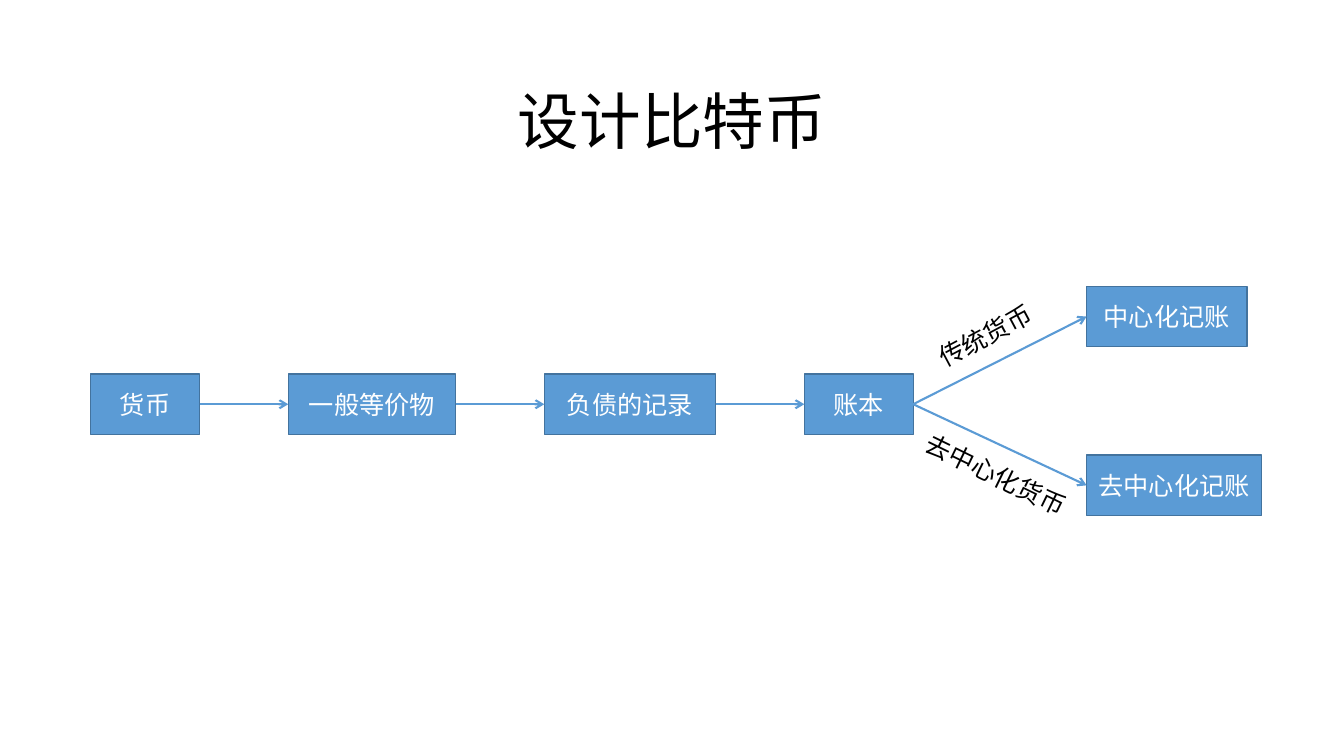
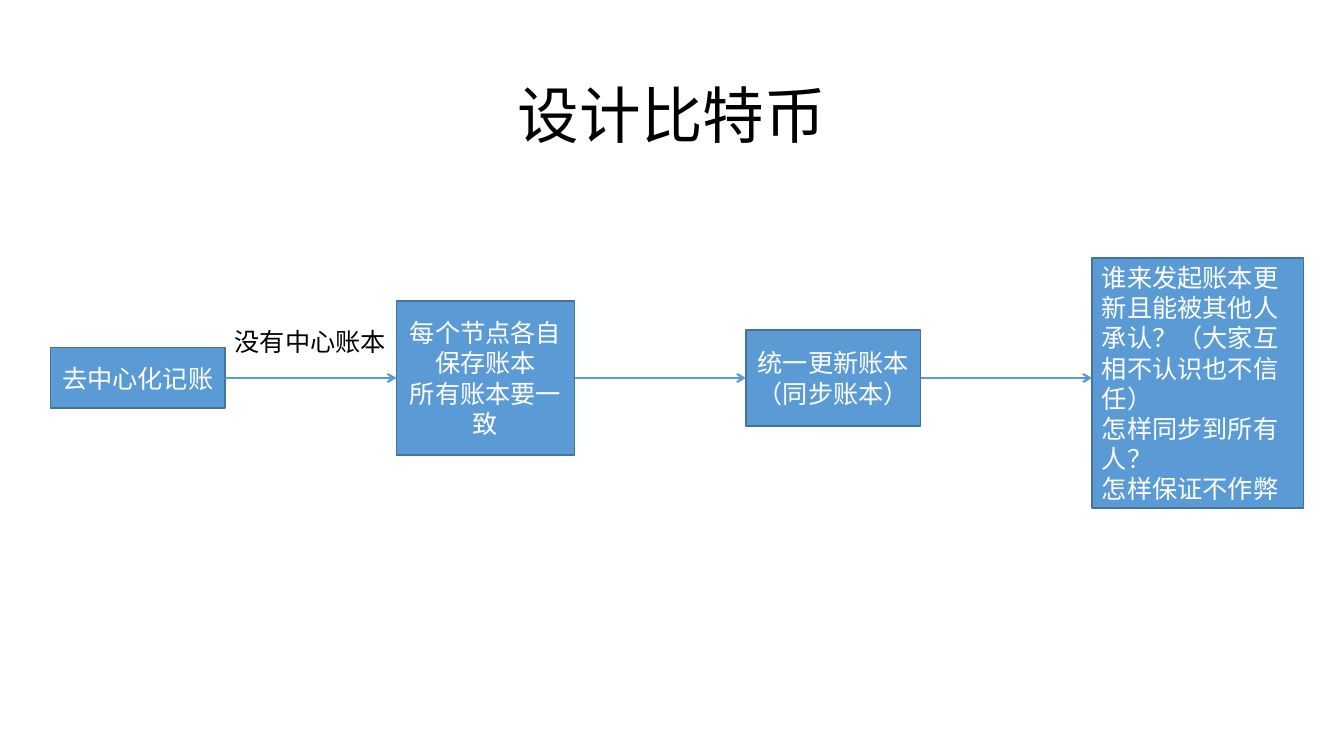
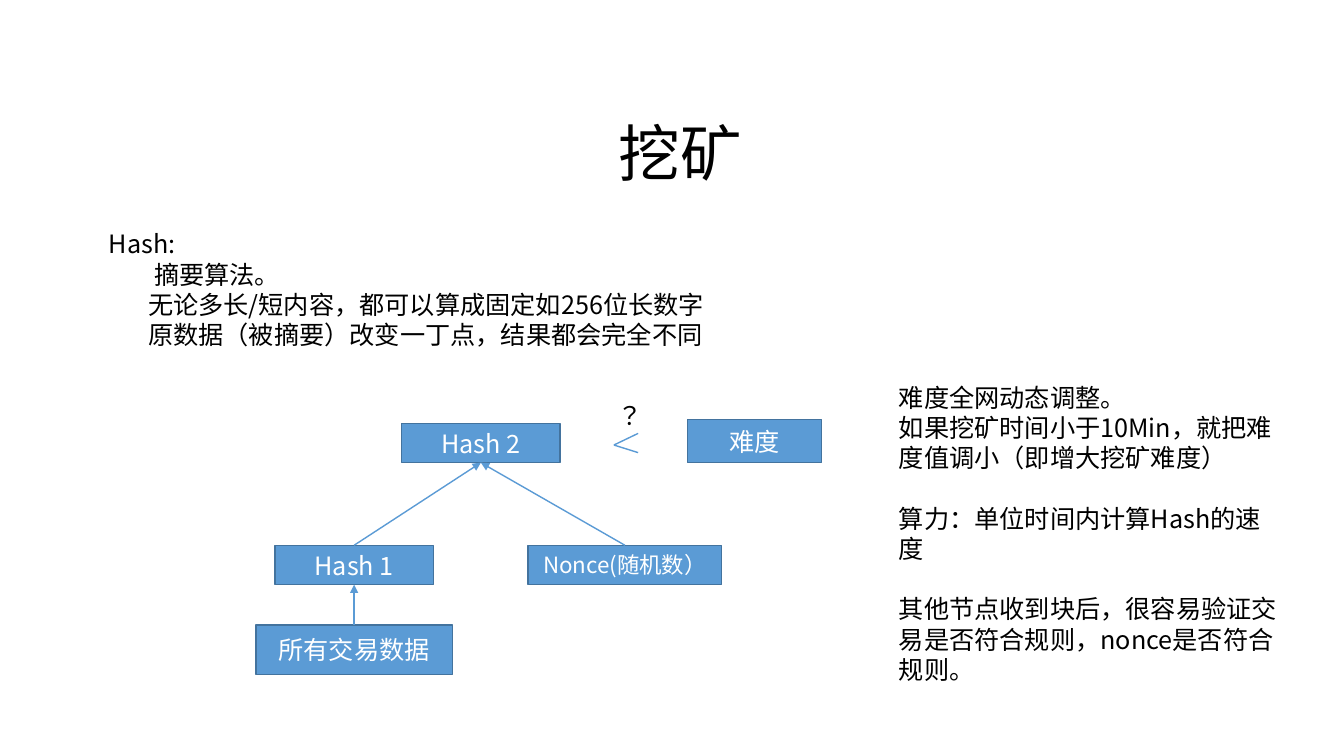
from pptx import Presentation
from pptx import util as u
from pptx.dml.color import RGBColor
from pptx.enum import shapes, text
from pptx.oxml.ns import qn
from lxml import etree

COLORS = {"fill": "5B9BD5", "edge": "43739E", "ink": "000000", "light": "FFFFFF"}
FONT = "Noto Sans CJK KR"
WIDTH, HEIGHT = u.Inches(13.333), u.Inches(7.5)
TOP, LEFT, BOTTOM, RIGHT = range(4)
CENTER, START = text.PP_ALIGN.CENTER, text.PP_ALIGN.LEFT

# Text formats
TITLE = {"size": u.Pt(44), "color": "ink", "align": CENTER}
BODY = {"size": u.Pt(18), "color": "ink", "align": START}
BOXED = {"size": u.Pt(18), "color": "light", "align": CENTER}


# Positions and sizes are percentages of the slide's width and height
def across(share):
    return round(WIDTH * share / 100)


def down(share):
    return round(HEIGHT * share / 100)


def frame(x, y, w, h):
    """Left, top, width and height of an area centred on x, y."""
    return across(x - w / 2), down(y - h / 2), across(w), down(h)


def rgb(name):
    return RGBColor.from_string(COLORS[name])


# Text
def write(shape, lines, style, wrap=True, middle=True):
    """Each line is a string or a (string, paragraph format) pair."""
    body = shape.text_frame
    body.word_wrap = wrap
    body.vertical_anchor = text.MSO_ANCHOR.MIDDLE if middle else text.MSO_ANCHOR.TOP
    for number, line in enumerate(lines):
        words, layout = (line, {}) if isinstance(line, str) else line
        para = body.paragraphs[0] if number == 0 else body.add_paragraph()
        para.alignment = style["align"]
        if "indent" in layout:
            para._p.get_or_add_pPr().set("indent", str(layout["indent"]))
        if "before" in layout:
            para.space_before = layout["before"]
        span = para.add_run()
        span.text = words
        for key, value in {"size": style["size"], "name": FONT}.items():
            setattr(span.font, key, value)
        span.font.color.rgb = rgb(style["color"])
        etree.SubElement(span._r.get_or_add_rPr(), qn("a:ea")).set("typeface", FONT)


def add_text(page, area, lines, style=BODY, wrap=True, middle=False, turn=0):
    label = page.shapes.add_textbox(*frame(*area))
    label.rotation = turn
    write(label, lines, style, wrap, middle)


def add_label(page, x, y, w, words, turn=0):
    add_text(page, (x, y, w, 5.33), [words], wrap=False, turn=turn)


def add_page(deck, title, y, x=50):
    page = deck.slides.add_slide(deck.slide_layouts[6])
    add_text(page, (x, y, 90, 16.67), [title], TITLE, middle=True)
    return page


# Boxes and lines
def add_box(page, area, lines, **changes):
    box = page.shapes.add_shape(shapes.MSO_SHAPE.RECTANGLE, *frame(*area))
    box.shadow.inherit = False
    box.fill.solid()
    box.fill.fore_color.rgb = rgb("fill")
    box.line.color.rgb = rgb("edge")
    box.line.width = u.Pt(1)
    write(box, lines, {**BOXED, **changes})
    return box


def add_line(page, begin=(0, 0), end=(0, 0), weight=1, head=None):
    line = page.shapes.add_connector(
        shapes.MSO_CONNECTOR.STRAIGHT,
        across(begin[0]), down(begin[1]), across(end[0]), down(end[1]))
    line.line.color.rgb = rgb("fill")
    line.line.width = u.Pt(weight)
    if head:
        etree.SubElement(line.line._get_or_add_ln(), qn("a:tailEnd")).set("type", head)
    etree.SubElement(line._element.spPr, qn("a:effectLst"))
    return line


def join(page, source, out_side, target, in_side, **look):
    line = add_line(page, **look)
    line.begin_connect(source, out_side)
    line.end_connect(target, in_side)


FLOW = {"weight": 1.5, "head": "arrow"}
MERGE = {"weight": 1, "head": "triangle"}


def add_chain(page, left, row, gap, steps):
    """Boxes in a row with equal gaps; a step is width, height, lines, drop, format."""
    previous = None
    for width, height, lines, drop, changes in steps:
        box = add_box(page, (left + width / 2, row + drop, width, height), lines, **changes)
        if previous and drop:  # the arrow stays level, off the box's middle
            line = add_line(page, (left - gap, row), (left, row), **FLOW)
            line.begin_connect(previous, RIGHT)
        elif previous:
            join(page, previous, RIGHT, box, LEFT, **FLOW)
        previous = box
        left += width + gap
    return previous


# Slides
def ledger_slide(deck):
    page = add_page(deck, "设计比特币", 15.8)
    steps = [(8.1, "货币"), (12.45, "一般等价物"), (12.75, "负债的记录"), (8.1, "账本")]
    ledger = add_chain(page, 6.75, 53.47, 6.6,
                       [(width, 8, [words], 0, {}) for width, words in steps])
    for y, width, words in [(41.87, 11.93, "中心化记账"), (64.2, 13, "去中心化记账")]:
        branch = add_box(page, (80.85 + width / 2, y, width, 8), [words])
        join(page, ledger, RIGHT, branch, LEFT, **FLOW)
    add_label(page, 73.54, 44.13, 9.53, "传统货币", turn=332)
    add_label(page, 74.44, 63.07, 13.43, "去中心化货币", turn=26)


def sync_slide(deck):
    page = add_page(deck, "设计比特币", 15)
    questions = ["谁来发起账本更新且能被其他人承认？（大家互相不认识也不信任）",
                 "怎样同步到所有人？", "怎样保证不作弊"]
    add_chain(page, 3.75, 50, 12.75, [
        (13, 8, ["去中心化记账"], 0, {}),
        (13.25, 20.4, ["每个节点各自保存账本", "所有账本要一致"], 0, {}),
        (13, 12.67, ["统一更新账本（同步账本）"], 0, {}),
        (15.75, 33.07, questions, 0.67, {"align": START}),
    ])
    add_label(page, 23.1, 45.2, 12.75, "没有中心账本")


def mining_slide(deck):
    page = add_page(deck, "挖矿", 20.07, x=50.63)

    # Hash tree
    data = add_box(page, (26.35, 85.93, 14.63, 6.53), ["所有交易数据"])
    first = add_box(page, (26.35, 74.73, 11.8, 5.2), ["Hash 1"])
    nonce = add_box(page, (46.5, 74.73, 14.4, 5.2), ["Nonce(随机数）"], size=u.Pt(16))
    second = add_box(page, (35.78, 58.6, 11.8, 5.2), ["Hash 2"])
    for source, target in [(data, first), (first, second), (nonce, second)]:
        join(page, source, TOP, target, BOTTOM, **MERGE)

    # Comparison with the difficulty
    add_box(page, (56.14, 58.33, 10, 5.73), ["难度"])
    for y in (57.33, 59.87):
        add_line(page, (47.48, y), (45.68, 58.87))
    add_label(page, 46.91, 54.93, 3.38, "？")

    # Explanations
    indent = {"indent": u.Inches(0.39)}
    add_text(page, (30.98, 40.33, 47.25, 21.47), [
        "Hash:",
        ("摘要算法。", {"indent": u.Inches(0.45)}),
        ("无论多长/短内容，都可以算成固定如256位长数字", indent),
        ("原数据（被摘要）改变一丁点，结果都会完全不同", indent),
    ])
    apart = {"before": u.Pt(21.6)}
    add_text(page, (81.11, 70.73, 29.93, 41.73), [
        "难度全网动态调整。",
        "如果挖矿时间小于10Min，就把难度值调小（即增大挖矿难度）",
        ("算力：单位时间内计算Hash的速度", apart),
        ("其他节点收到块后，很容易验证交易是否符合规则，nonce是否符合规则。", apart),
    ])


def main():
    deck = Presentation()
    deck.slide_width, deck.slide_height = WIDTH, HEIGHT
    for build in (ledger_slide, sync_slide, mining_slide):
        build(deck)
    deck.save("out.pptx")


if __name__ == "__main__":
    main()
